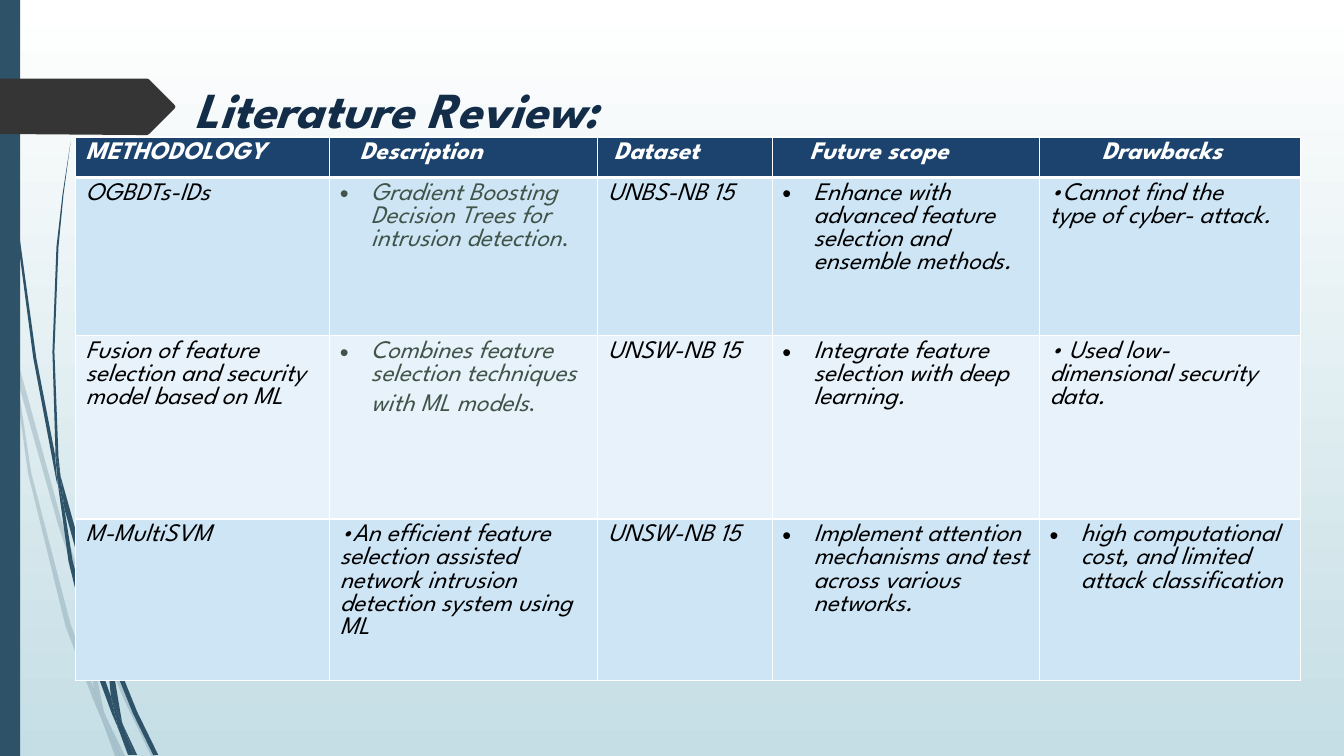
from lxml.etree import SubElement
from pptx import Presentation
from pptx.dml.color import RGBColor
from pptx.enum.shapes import MSO_SHAPE
from pptx.enum.text import MSO_ANCHOR
from pptx.oxml.ns import qn
from pptx.util import Pt

PX = 9144  # 100 px to the inch
INK = {
    "top": "FFFFFF", "base": "C5DEE5", "teal": "2E5369", "tab": "353535",
    "title": "132C48", "head": "1C436D", "odd": "CEE5F5", "even": "E8F2FA",
    "white": "FFFFFF", "black": "000000", "green": "405449",
}

# Outlines of the wisps, as px points
PALE = [
    [(11, 350), (9, 322), (0, 282), (0, 299), (10, 344)],
    [(58, 522), (84, 599), (85, 586), (62, 520), (14, 345), (17, 376)],
    [(92, 607), (88, 596), (88, 610), (123, 694), (150, 750), (155, 750), (127, 692)],
    [(119, 750), (124, 750), (105, 711)],
    [(93, 683), (70, 619), (31, 469), (17, 376), (11, 350), (28, 470),
     (65, 621), (92, 693), (101, 714), (99, 707)],
    [(84, 599), (87, 646), (93, 683), (96, 692), (105, 711), (103, 706),
     (91, 646), (88, 610), (88, 608)],
    [(88, 584), (93, 523), (110, 462), (160, 349), (229, 245), (268, 198),
     (290, 175), (312, 154), (312, 153), (289, 175), (268, 197), (228, 244),
     (158, 348), (107, 461), (90, 522), (85, 584), (85, 586), (88, 596)],
    [(101, 714), (114, 750), (119, 750)],
    [(88, 608), (88, 610), (88, 596), (85, 586), (84, 599)],
    [(96, 692), (93, 683), (99, 707), (101, 714), (119, 750), (105, 711)],
]
DARK = [
    [(7, 110), (17, 233), (33, 355), (56, 477), (57, 481), (55, 457), (55, 453),
     (36, 355), (19, 232), (8, 109), (5, 48), (4, 0), (3, 0), (4, 48)],
    [(88, 592), (106, 645), (106, 633), (106, 631), (93, 590), (60, 472), (64, 505)],
    [(113, 649), (110, 641), (111, 656), (132, 708), (152, 749), (157, 749), (136, 706)],
    [(110, 691), (98, 657), (72, 556), (64, 505), (57, 477), (68, 557),
     (93, 659), (111, 708), (117, 722), (116, 717)],
    [(60, 472), (58, 453), (54, 349), (58, 245), (63, 193), (70, 141),
     (62, 193), (56, 245), (52, 349), (55, 449)],
    [(133, 749), (136, 749), (122, 719)],
    [(57, 477), (64, 505), (60, 472), (55, 449), (55, 453)],
    [(111, 633), (115, 592), (125, 552), (158, 476), (205, 406), (231, 374),
     (245, 359), (261, 344), (260, 344), (245, 358), (231, 373), (204, 405),
     (156, 474), (122, 551), (111, 590), (106, 631), (110, 641)],
    [(117, 722), (127, 749), (131, 749)],
    [(106, 645), (110, 691), (116, 706), (122, 719), (121, 716), (111, 656), (109, 651)],
    [(106, 645), (109, 651), (111, 656), (110, 641), (106, 631), (106, 633)],
    [(116, 706), (110, 691), (116, 717), (117, 722), (130, 749), (133, 749), (122, 719)],
]
TAB = [(173, 108), (148, 133), (146, 134), (136, 134), (0, 133), (0, 78),
       (146, 78), (148, 79), (173, 104), (174, 106)]

# Table: each header has its inset; "*" opens a bulleted cell
COLS = [252, 266, 173, 265, 259]
ROWS = [33, 157, 182, 157]
HEADS = [("METHODOLOGY", 0), ("Description", 20), ("Dataset", 6),
         ("Future scope", 27), ("Drawbacks", 52)]
BODY = [
    ["OGBDTs-IDs",
     "*Gradient Boosting Decision Trees for intrusion detection.",
     "UNBS-NB 15",
     "*Enhance with advanced feature selection and ensemble methods.",
     "•Cannot find the\vtype of cyber- attack."],
    ["Fusion of feature selection and security model based on ML",
     "*Combines feature selection techniques with ML models.",
     "UNSW-NB 15",
     "*Integrate feature selection with deep learning.",
     "• Used low- dimensional security data."],
    ["M-MultiSVM",
     "•An efficient feature selection assisted network intrusion detection system using ML",
     "UNSW-NB 15",
     "*Implement attention mechanisms and test across various networks.",
     "*high computational cost, and limited attack classification"],
]


class Deck:
    font = "League Spartan"

    def __init__(self, wide, high):
        self.prs = Presentation()
        self.prs.slide_width, self.prs.slide_height = wide * PX, high * PX
        self.slide = self.prs.slides.add_slide(self.prs.slide_layouts[6])
        self.shapes = self.slide.shapes

    def color(self, name):
        return RGBColor.from_string(INK[name])

    def back(self, top, base):
        fill = self.slide.background.fill
        fill.gradient()
        fill.gradient_angle = 270
        for stop, name, pos in zip(fill.gradient_stops, (top, base), (0, 1)):
            stop.color.rgb = self.color(name)
            stop.position = pos

    def paint(self, shape, name, alpha=100):
        shape.shadow.inherit = False
        shape.line.fill.background()
        shape.fill.solid()
        shape.fill.fore_color.rgb = self.color(name)
        if alpha < 100:
            tone = shape.fill._xPr.find(".//" + qn("a:srgbClr"))
            SubElement(tone, qn("a:alpha"), val=str(alpha * 1000))

    def free(self, pts, name, alpha=100):
        pen = self.shapes.build_freeform(*pts[0], scale=PX)
        pen.add_line_segments(pts[1:], close=True)
        self.paint(pen.convert_to_shape(), name, alpha)

    def rect(self, x, y, w, h, name):
        box = (n * PX for n in (x, y, w, h))
        self.paint(self.shapes.add_shape(MSO_SHAPE.RECTANGLE, *box), name)

    def style(self, para, size, name, bold=False):
        for run in para.runs:
            font = run.font
            font.name, font.size = self.font, Pt(size)
            font.bold, font.italic = bold, True
            font.color.rgb = self.color(name)

    def text(self, x, y, w, h, words, size, name):
        box = self.shapes.add_textbox(*(n * PX for n in (x, y, w, h)))
        frame = box.text_frame
        frame.word_wrap = True
        frame.vertical_anchor = MSO_ANCHOR.MIDDLE
        frame.text = words
        self.style(frame.paragraphs[0], size, name, True)

    def table(self, x, y, cols, rows):
        size = (n * PX for n in (x, y, sum(cols), sum(rows)))
        grid = self.shapes.add_table(len(rows), len(cols), *size).table
        for col, wide in zip(grid.columns, cols):
            col.width = wide * PX
        for row, high in zip(grid.rows, rows):
            row.height = high * PX
        return grid

    def edges(self, cell, low):
        props = cell._tc.get_or_add_tcPr()
        for n, (side, wide) in enumerate(zip("LRTB", (1, 1, 1, low))):
            line = props.makeelement(qn("a:ln" + side), {"w": str(Pt(wide))})
            fill = SubElement(line, qn("a:solidFill"))
            SubElement(fill, qn("a:srgbClr"), val=INK["white"])
            props.insert(n, line)

    def cell(self, cell, words, fill, name, head=False, inset=0):
        cell.fill.solid()
        cell.fill.fore_color.rgb = self.color(fill)
        cell.margin_left = (10 + inset) * PX
        self.edges(cell, 3 if head else 1)
        para = cell.text_frame.paragraphs[0]
        para.text = words.lstrip("*")
        self.style(para, 18, name, head)
        if words.startswith("*"):
            props = para._p.get_or_add_pPr()
            props.set("marL", str(31 * PX))
            props.set("indent", str(-31 * PX))
            SubElement(props, qn("a:buFont"), typeface="Arial")
            SubElement(props, qn("a:buChar"), char="•")

    def stop(self, cell, face):
        """Set the closing full stop upright, in its own face."""
        para = cell.text_frame.paragraphs[0]
        first = para.runs[0]
        first.text = first.text.rstrip(".")
        last = para.add_run()
        last.text = "."
        self.style(para, 18, "green")
        last.font.name, last.font.italic = face, False


def main():
    deck = Deck(1333, 750)

    # Backdrop
    deck.back("top", "base")
    for pts in PALE:
        deck.free(pts, "teal", 20)
    for pts in DARK:
        deck.free(pts, "teal")
    deck.rect(0, 0, 20, 750, "teal")
    deck.free(TAB, "tab")

    # Title
    deck.text(183, 68, 1075, 80, "Literature Review:", 36, "title")

    # Review table
    grid = deck.table(75, 136, COLS, ROWS)
    for c, (words, inset) in enumerate(HEADS):
        deck.cell(grid.cell(0, c), words, "head", "white", True, inset)
    for r, row in enumerate(BODY, 1):
        for c, words in enumerate(row):
            deck.cell(grid.cell(r, c), words, "odd" if r % 2 else "even", "black")
    for r, face in ((1, deck.font), (2, "Calibri")):
        deck.stop(grid.cell(r, 1), face)

    deck.prs.save("out.pptx")


if __name__ == "__main__":
    main()
